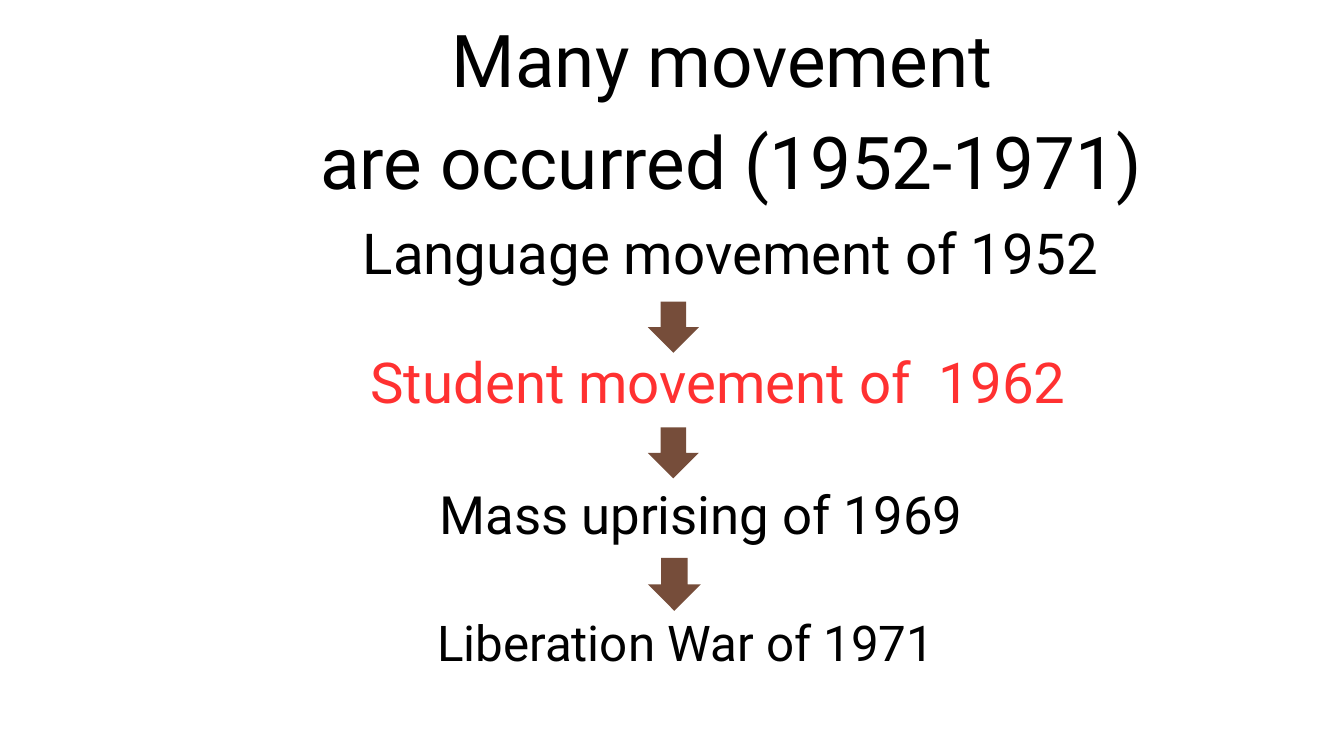
from pptx import Presentation
from pptx.dml.color import RGBColor
from pptx.enum.shapes import MSO_SHAPE
from pptx.enum.text import MSO_ANCHOR, MSO_AUTO_SIZE, PP_ALIGN
from pptx.util import Inches, Pt

BLACK = RGBColor(0x00, 0x00, 0x00)
RED = RGBColor(0xFF, 0x31, 0x31)
BROWN = RGBColor(0x76, 0x4D, 0x3A)
FONT = "Roboto"
LINE_RATIO = 1.4  # line pitch relative to the font size

# Content
TITLE = ["Many movement ", "are occurred (1952-1971)"]
# Text, (left, top, width, height), size, colour
MOVEMENTS = [
    ("Language movement of 1952", (4.98, 3.08, 11.78, 1.13), 60.5, BLACK),
    ("Student movement of  1962", (4.17, 5, 13.03, 1.11), 60.4, RED),
    ("Mass uprising of 1969", (5.67, 7.02, 9.53, 1.04), 56.5, BLACK),
    ("Liberation War of 1971", (6.21, 8.96, 7.99, 0.98), 52.8, BLACK),
]
# Top, side length
ARROWS = [(4.49, 0.76), (6.36, 0.76), (8.3, 0.79)]
ARROW_LEFT = 9.64


def write_text(holder, lines, *, size, color=BLACK):
    frame = holder.text_frame
    frame.word_wrap = True
    frame.auto_size = MSO_AUTO_SIZE.NONE
    frame.vertical_anchor = MSO_ANCHOR.TOP
    frame.margin_left = frame.margin_right = 0
    frame.margin_top = frame.margin_bottom = 0
    for index, line in enumerate(lines):
        paragraph = frame.add_paragraph() if index else frame.paragraphs[0]
        paragraph.alignment = PP_ALIGN.CENTER
        paragraph.line_spacing = Pt(size * LINE_RATIO)
        paragraph.space_before = Pt(0)
        run = paragraph.add_run()
        run.text = line
        run.font.name = FONT
        run.font.size = Pt(size)
        run.font.color.rgb = color


prs = Presentation()
prs.slide_width, prs.slide_height = Inches(20), Inches(11.25)
slide = prs.slides.add_slide(prs.slide_layouts[5])

# Title
title = slide.shapes.title
title.left, title.top = Inches(3.67), Inches(0)
title.width, title.height = Inches(14.42), Inches(2.97)
write_text(title, TITLE, size=78)

# Arrows between the movements
for top, side in ARROWS:
    arrow = slide.shapes.add_shape(
        MSO_SHAPE.DOWN_ARROW,
        Inches(ARROW_LEFT), Inches(top), Inches(side), Inches(side),
    )
    arrow.shadow.inherit = False
    arrow.fill.solid()
    arrow.fill.fore_color.rgb = BROWN
    arrow.line.fill.background()

# Movements in order of time
for movement, box, size, color in MOVEMENTS:
    label = slide.shapes.add_textbox(*map(Inches, box))
    write_text(label, [movement], size=size, color=color)

prs.save("out.pptx")
